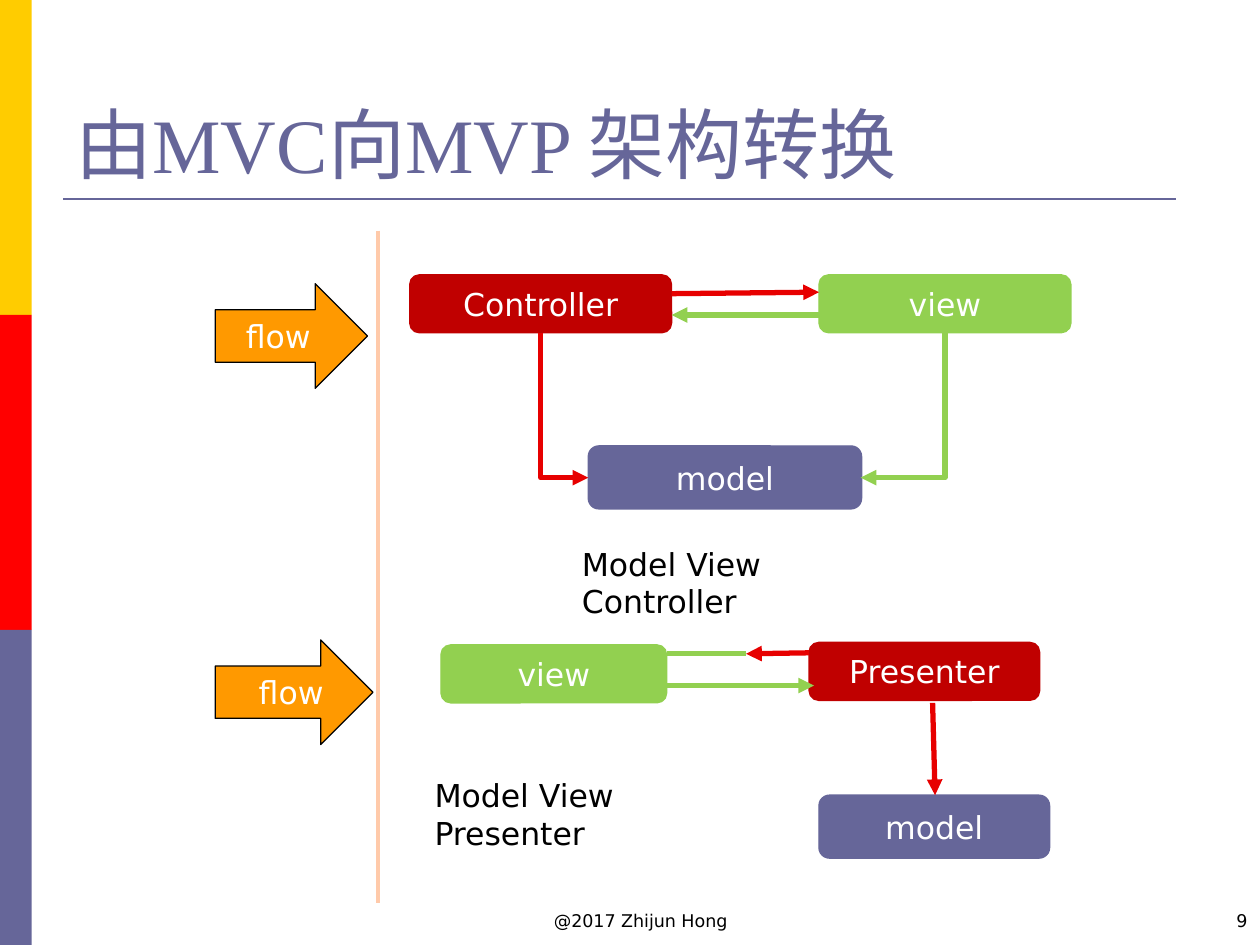
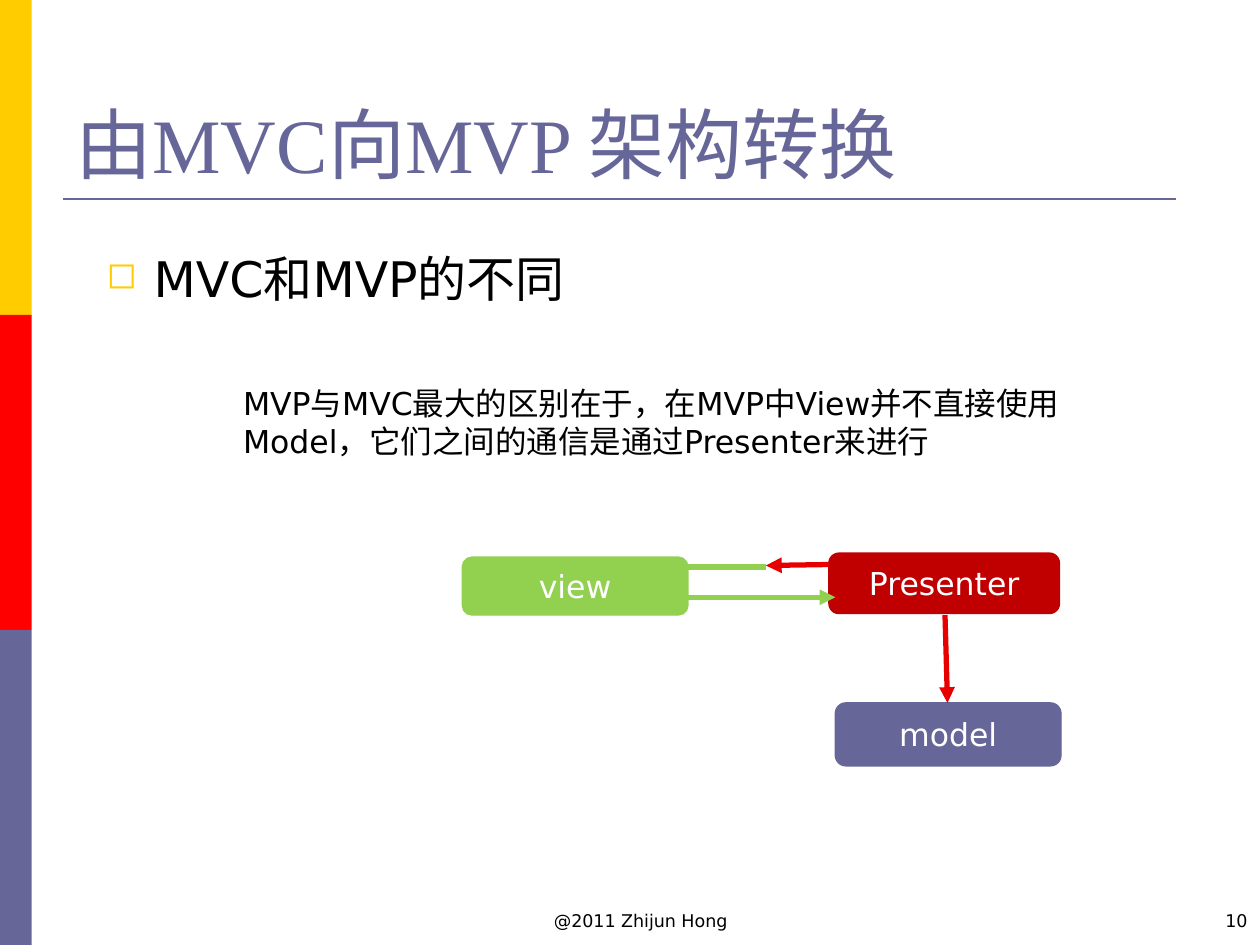
"""Build two slides on moving from the MVC to the MVP architecture."""
from lxml import etree
from pptx import Presentation
from pptx.dml.color import RGBColor
from pptx.enum.shapes import MSO_CONNECTOR, MSO_SHAPE
from pptx.enum.text import MSO_ANCHOR, MSO_AUTO_SIZE, PP_ALIGN
from pptx.oxml.ns import qn
from pptx.util import Cm, Pt

RECT, ROUND, ARROW = MSO_SHAPE.RECTANGLE, MSO_SHAPE.ROUNDED_RECTANGLE, MSO_SHAPE.RIGHT_ARROW
STRAIGHT, ELBOW = MSO_CONNECTOR.STRAIGHT, MSO_CONNECTOR.ELBOW
LEFT, CENTER, RIGHT = PP_ALIGN.LEFT, PP_ALIGN.CENTER, PP_ALIGN.RIGHT
TOP, MIDDLE, BOTTOM = MSO_ANCHOR.TOP, MSO_ANCHOR.MIDDLE, MSO_ANCHOR.BOTTOM

COLORS = {
    "yellow": "FFCC00", "red": "FF0000", "slate": "666699", "orange": "FF9900",
    "peach": "FFCAAA", "green": "92D050", "crimson": "C00000", "scarlet": "E70000",
    "black": "000000", "white": "FFFFFF",
}
TITLE = "由MVC向MVP 架构转换"


def write(sp, text, size=18, font="DejaVu Sans", color="black", align=LEFT, anchor=TOP,
          inset=0.25, indent=0, hanging=0, bullet=None):
    tf = sp.text_frame
    tf.word_wrap = True
    tf.auto_size = MSO_AUTO_SIZE.NONE
    tf.vertical_anchor = anchor
    tf.margin_left, tf.margin_right = Cm(inset), Cm(0.25)
    tf.margin_top = tf.margin_bottom = Cm(0.13)
    p = tf.paragraphs[0]
    p.alignment = align
    pPr = p._p.get_or_add_pPr()
    pPr.set("marL", str(Cm(indent)))
    pPr.set("indent", str(Cm(-hanging)))
    if bullet:
        clr = etree.SubElement(pPr, qn("a:buClr"))
        etree.SubElement(clr, qn("a:srgbClr"), val=COLORS["yellow"])
        etree.SubElement(pPr, qn("a:buSzPct"), val="75000")
        etree.SubElement(pPr, qn("a:buChar"), char=bullet)
    r = p.add_run()
    r.text = text
    r.font.size = Pt(size)
    r.font.name = font
    r.font.color.rgb = RGBColor.from_string(COLORS[color])


def link(s, color, x1, y1, x2, y2, width=3, arrow=True, elbow=False):
    if elbow:
        side = 1 if x2 > x1 else -1
        mx, my, w, h = (x1 + x2) / 2, (y1 + y2) / 2, y2 - y1, abs(x2 - x1)
        x1, x2 = mx + side * w / 2, mx - side * w / 2
        y1, y2 = my - h / 2, my + h / 2
    cx = s.shapes.add_connector(ELBOW if elbow else STRAIGHT, Cm(x1), Cm(y1), Cm(x2), Cm(y2))
    cx.line.color.rgb = RGBColor.from_string(COLORS[color])
    cx.line.width = Pt(width)
    spPr = cx.element.spPr
    if elbow:
        spPr.find(qn("a:xfrm")).set("rot", str((270 if side > 0 else 90) * 60000))
        spPr.find(qn("a:prstGeom")).set("prst", "bentConnector2")
    if arrow:
        etree.SubElement(spPr.find(qn("a:ln")), qn("a:tailEnd"), type="triangle")
    etree.SubElement(spPr, qn("a:effectLst"))


slides = [
    {
        "footer": "@2017 Zhijun Hong", "number": "9",
        "boxes": [
            ("view", "green", 16.51, 5.54, 5.08, 1.17),
            ("Controller", "crimson", 8.26, 5.54, 5.28, 1.17),
            ("model", "slate", 11.86, 8.99, 5.51, 1.27),
            ("view", "green", 8.89, 13, 4.55, 1.17),
            ("Presenter", "crimson", 16.31, 12.95, 4.65, 1.17),
            ("model", "slate", 16.51, 16.03, 4.65, 1.27),
        ],
        "links": [
            ("scarlet", 13.54, 5.92, 16.51, 5.89, {}),
            ("green", 16.51, 6.35, 13.54, 6.35, {}),
            ("scarlet", 10.9, 6.71, 11.86, 9.63, {"elbow": True}),
            ("green", 19.05, 6.71, 17.35, 9.63, {"elbow": True}),
            ("scarlet", 16.31, 13.16, 15.04, 13.18, {}),
            ("green", 13.44, 13.18, 15.04, 13.18, {"arrow": False}),
            ("green", 13.28, 13.82, 16.41, 13.82, {}),
            ("scarlet", 18.8, 14.17, 18.85, 16.03, {}),
            ("peach", 7.62, 4.65, 7.62, 18.21, {"width": 2, "arrow": False}),
        ],
        "flows": [(5.72, 3.07, 0.25), (12.9, 3.18, 0.66)],
        "texts": [
            ("Model View Controller", 11.48, 10.85, 7.11, 1.02, {}),
            ("Model View Presenter", 8.51, 15.52, 7.01, 1.02, {}),
        ],
    },
    {
        "footer": "@2011 Zhijun Hong", "number": "10",
        "boxes": [
            ("view", "green", 9.32, 11.23, 4.55, 1.17),
            ("Presenter", "crimson", 16.71, 11.15, 4.65, 1.22),
            ("model", "slate", 16.84, 14.17, 4.55, 1.27),
        ],
        "links": [
            ("scarlet", 16.71, 11.38, 15.44, 11.4, {}),
            ("green", 13.87, 11.43, 15.44, 11.43, {"arrow": False}),
            ("green", 13.72, 12.04, 16.84, 12.04, {}),
            ("scarlet", 19.05, 12.4, 19.1, 14.17, {}),
        ],
        "flows": [],
        "texts": [
            ("MVC和MVP的不同", 1.9, 4.88, 11.63, 1.45,
             {"size": 28, "indent": 0.95, "hanging": 0.95, "bullet": "◻"}),
            ("MVP与MVC最大的区别在于，在MVP中View并不直接使用Model，它们之间的通信是通过Presenter来进行",
             2.11, 7.62, 20.32, 1.78, {"indent": 2.54}),
        ],
    },
]

prs = Presentation()
prs.slide_width, prs.slide_height = Cm(25.4), Cm(19.05)

for data in slides:
    s = prs.slides.add_slide(prs.slide_layouts[5])

    for i, color in enumerate(["yellow", "red", "slate"]):
        sp = s.shapes.add_shape(RECT, 0, Cm(6.35 * i), Cm(0.64), Cm(6.35))
        sp.shadow.inherit = False
        sp.fill.solid()
        sp.fill.fore_color.rgb = RGBColor.from_string(COLORS[color])
        sp.line.fill.background()
    link(s, "slate", 1.27, 4.01, 23.7, 4.01, width=1.5, arrow=False)

    title = s.shapes.title
    title.left, title.top, title.width, title.height = Cm(1.27), Cm(0.76), Cm(22.43), Cm(3.18)
    write(title, TITLE, size=44, font="Times New Roman", color="slate", anchor=BOTTOM)

    shapes = [(ROUND, text, color, color, x, y, w, h, 0.25)
              for text, color, x, y, w, h in data["boxes"]]
    shapes += [(ARROW, "flow", "orange", "black", 4.34, y, w, 2.11, inset)
               for y, w, inset in data["flows"]]
    for kind, text, fill, line, x, y, w, h, inset in shapes:
        sp = s.shapes.add_shape(kind, Cm(x), Cm(y), Cm(w), Cm(h))
        sp.shadow.inherit = False
        sp.fill.solid()
        sp.fill.fore_color.rgb = RGBColor.from_string(COLORS[fill])
        sp.line.color.rgb = RGBColor.from_string(COLORS[line])
        sp.line.width = Pt(0.75)
        write(sp, text, color="white", align=CENTER, anchor=MIDDLE, inset=inset)

    for color, x1, y1, x2, y2, style in data["links"]:
        link(s, color, x1, y1, x2, y2, **style)

    footers = [
        (data["footer"], 8.89, 18.21, 8.05, 0.84, {"size": 10, "align": CENTER}),
        (data["number"], 19.48, 18.21, 5.92, 0.84, {"size": 10, "align": RIGHT}),
    ]
    for text, x, y, w, h, style in data["texts"] + footers:
        write(s.shapes.add_textbox(Cm(x), Cm(y), Cm(w), Cm(h)), text, **style)

prs.save("out.pptx")
